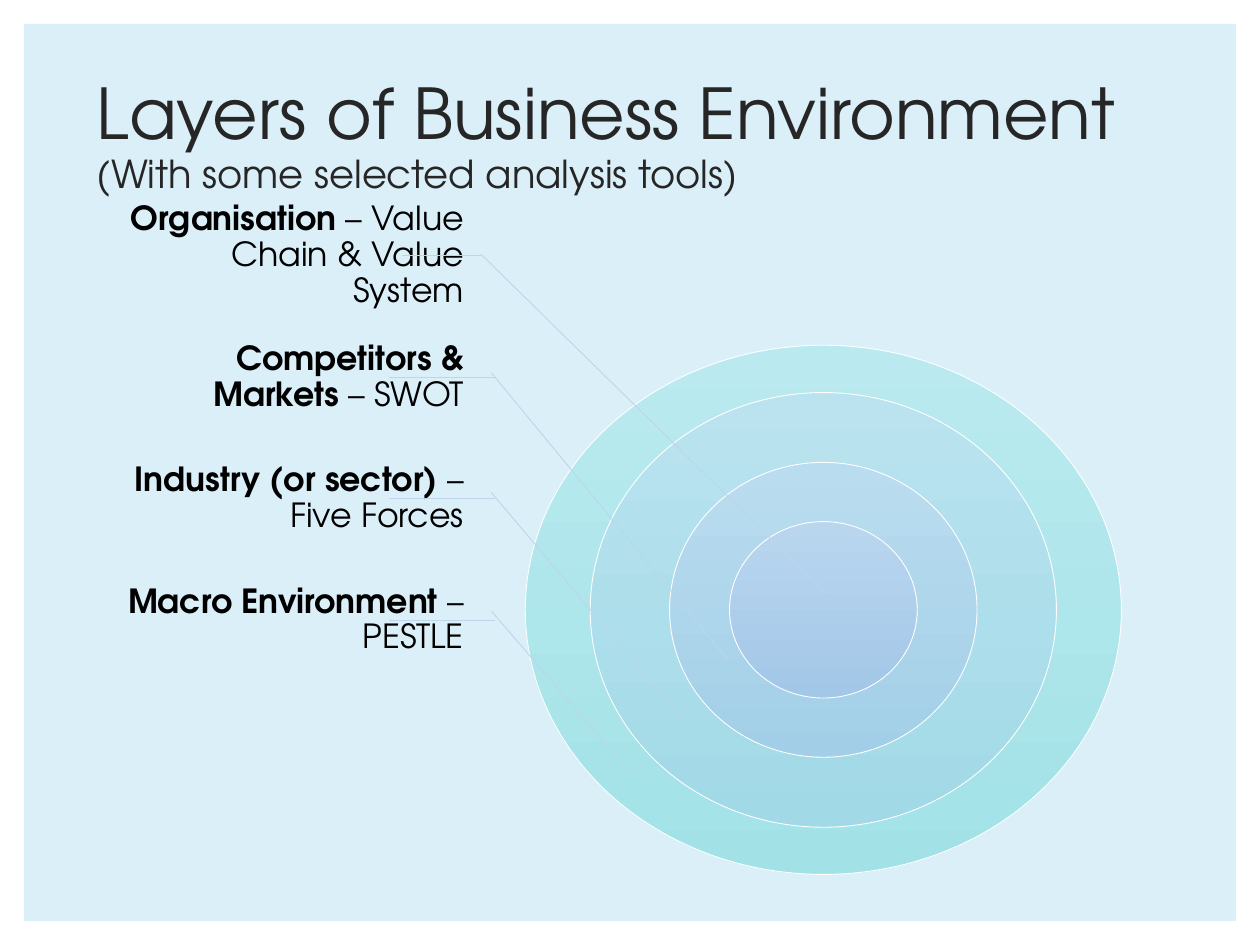
import pptx
import pptx.dml.color
import pptx.enum.shapes
import pptx.enum.text
import pptx.oxml.ns
import pptx.util
from lxml import etree

Pt = pptx.util.Pt
RGB = pptx.dml.color.RGBColor
PP = pptx.enum.text.PP_ALIGN
MSO = pptx.enum.shapes.MSO_SHAPE

FONT = "TeX Gyre Adventor"
WHITE = RGB(0xFF, 0xFF, 0xFF)
BLACK = RGB(0x00, 0x00, 0x00)
PANEL = RGB(0xDB, 0xEF, 0xF9)
TITLE = RGB(0x26, 0x26, 0x26)
LEADER = RGB(0xBD, 0xD5, 0xED)

CENTRE = (470.5, 348.5)
RINGS = [
    (340.6, 302.4, RGB(0xBA, 0xEA, 0xEF), RGB(0xA2, 0xE2, 0xE7)),
    (266.4, 248.4, RGB(0xBA, 0xE3, 0xEF), RGB(0xA2, 0xD9, 0xE7)),
    (175.7, 168.5, RGB(0xBA, 0xDC, 0xEF), RGB(0xA2, 0xCF, 0xE7)),
    (107.3, 100.8, RGB(0xBA, 0xD6, 0xEF), RGB(0xA2, 0xC7, 0xE7)),
]

LABEL_TOP, LABEL_STEP, LABEL_HEIGHT = 111.6, 69.4, 69.2
LABELS = [
    ("Organisation", " – Value Chain & Value System",
     (229.7, 275), (472.3, 339.1), (275, 145.4)),
    ("Competitors & Markets ", "– SWOT",
     (222.5, 283), (416.2, 377.3), (280.8, 213.1)),
    ("Industry (or sector) ", "– Five Forces",
     (222.5, 283), (393.8, 415.4), (280.8, 281.5)),
    ("Macro Environment ", "– PESTLE",
     (222.5, 283), (360, 441.4), (280.8, 349.2)),
]


def add_run(p, text, size, color, bold=False):
    """Append a formatted run to a paragraph."""
    r = p.add_run()
    r.text = text
    r.font.name = FONT
    r.font.size = Pt(size)
    r.font.bold = bold
    r.font.color.rgb = color


def set_title(s):
    """Place the title placeholder and write its two lines."""
    sp = s.shapes.title
    sp.left, sp.top, sp.width, sp.height = Pt(48.2), Pt(37.4), Pt(644.4), Pt(82.8)
    tf = sp.text_frame
    tf.auto_size = pptx.enum.text.MSO_AUTO_SIZE.NONE
    tf.vertical_anchor = pptx.enum.text.MSO_ANCHOR.MIDDLE
    p = tf.paragraphs[0]
    p.alignment = PP.LEFT
    p.line_spacing = 0.9
    add_run(p, "Layers of Business Environment", 40, TITLE)
    p.add_line_break()
    add_run(p, "(With some selected analysis tools)", 22, TITLE)


def add_panel(s):
    """Draw the tinted panel behind everything else."""
    sp = s.shapes.add_shape(MSO.RECTANGLE, Pt(13.7), Pt(13.7), Pt(692.6), Pt(512.6))
    sp.shadow.inherit = False
    sp.fill.solid()
    sp.fill.fore_color.rgb = PANEL
    sp.line.fill.background()
    s.shapes._spTree.insert(2, sp._element)


def add_ring(s, width, height, top_color, bottom_color):
    """Draw one gradient ellipse around the common centre."""
    x, y = CENTRE
    sp = s.shapes.add_shape(MSO.OVAL, Pt(x - width / 2), Pt(y - height / 2),
                            Pt(width), Pt(height))
    sp.shadow.inherit = False
    sp.fill.gradient()
    sp.fill.gradient_angle = 270
    for stop, color in zip(sp.fill.gradient_stops, (top_color, bottom_color)):
        stop.color.rgb = color
    sp.line.color.rgb = WHITE
    sp.line.width = Pt(0.5)


def add_label(s, top, name, tools):
    """Write a layer name in bold followed by its analysis tools."""
    sp = s.shapes.add_textbox(Pt(70.6), Pt(top), Pt(205.2), Pt(LABEL_HEIGHT))
    tf = sp.text_frame
    tf.word_wrap = True
    tf.vertical_anchor = pptx.enum.text.MSO_ANCHOR.MIDDLE
    tf.margin_left = tf.margin_top = tf.margin_bottom = Pt(2.2)
    tf.margin_right = Pt(10.8)
    p = tf.paragraphs[0]
    p.alignment = PP.RIGHT
    p.line_spacing = 0.9
    add_run(p, name, 19, BLACK, bold=True)
    add_run(p, tools, 19, BLACK)


def add_leader(s, start, end):
    """Draw a thin straight leader line."""
    points = [Pt(v) for v in (*start, *end)]
    line = s.shapes.add_connector(pptx.enum.shapes.MSO_CONNECTOR.STRAIGHT, *points)
    line.line.color.rgb = LEADER
    line.line.width = Pt(0.5)
    etree.SubElement(line._element.spPr, pptx.oxml.ns.qn("a:effectLst"))


def main():
    """Build the slide and save it."""
    prs = pptx.Presentation()
    prs.slide_width, prs.slide_height = Pt(720), Pt(540)
    s = prs.slides.add_slide(prs.slide_layouts[5])
    add_panel(s)
    set_title(s)
    for ring in RINGS:
        add_ring(s, *ring)
    for i, (name, tools, (left, right), target, elbow) in enumerate(LABELS):
        top = LABEL_TOP + i * LABEL_STEP
        middle = top + LABEL_HEIGHT / 2
        add_label(s, top, name, tools)
        add_leader(s, (left, middle), (right, middle))
        add_leader(s, target, elbow)
    prs.save("out.pptx")


if __name__ == "__main__":
    main()
